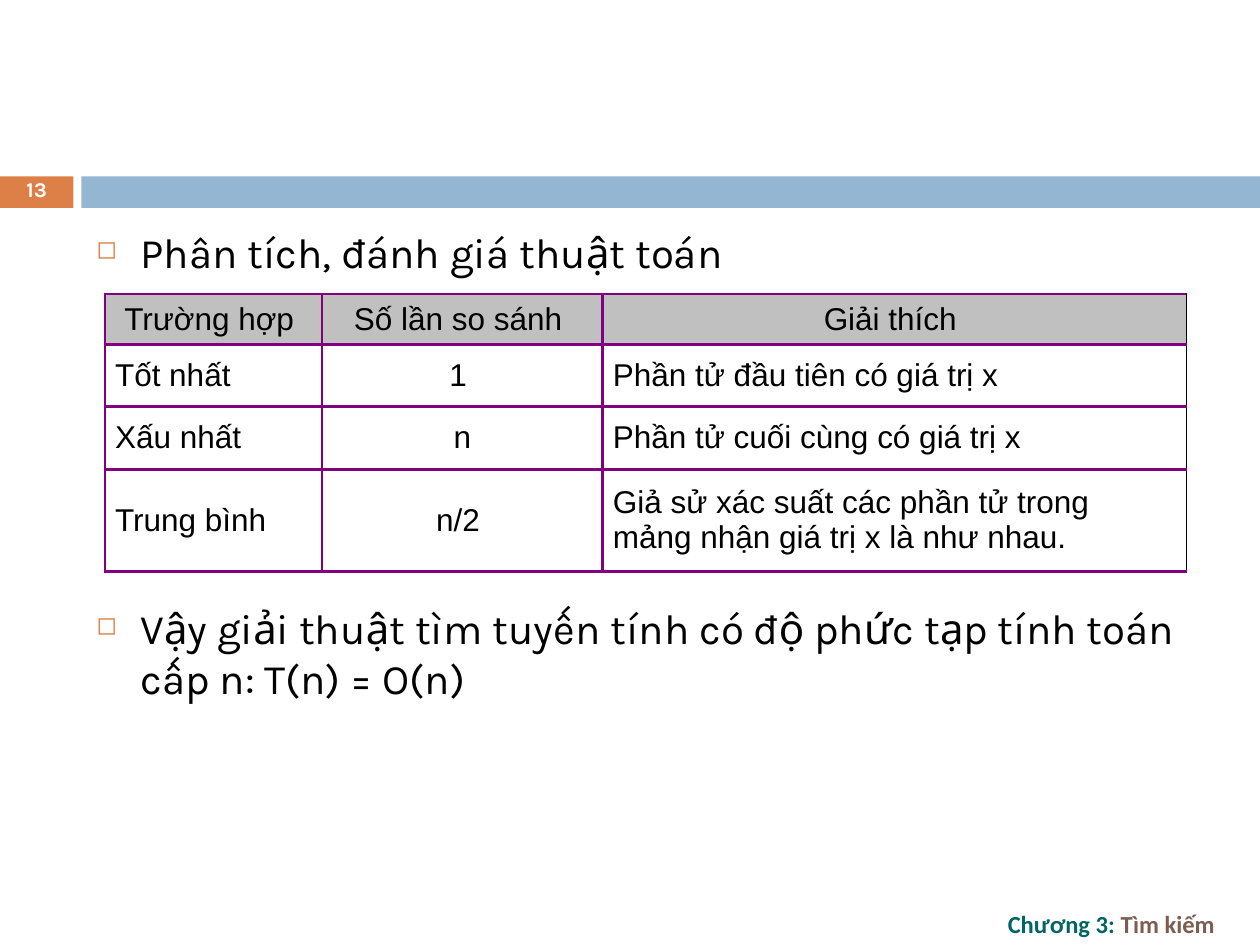
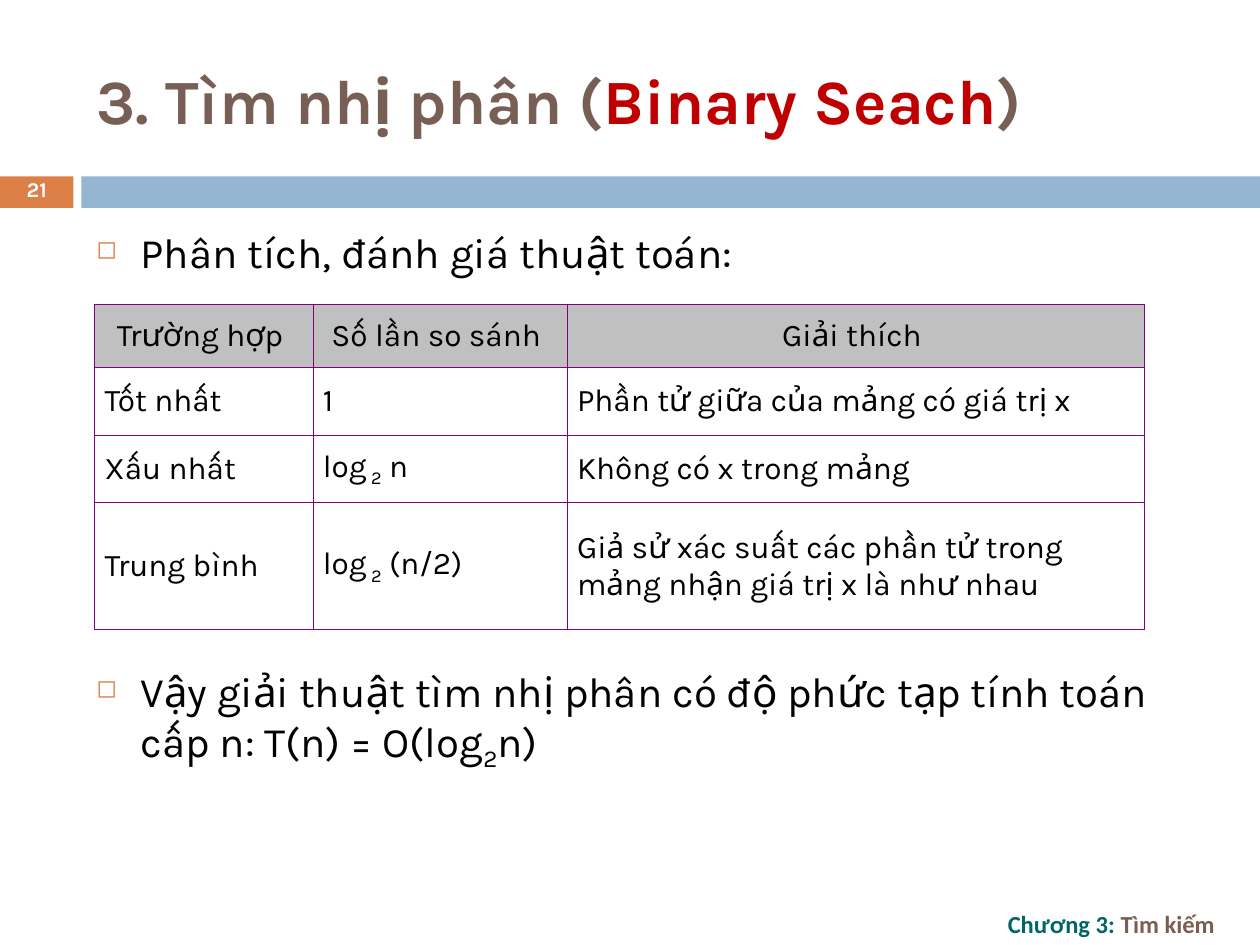
"""Builds two slides that compare the cost of linear and binary search."""
from lxml.etree import SubElement
from pptx import Presentation
from pptx.dml.color import RGBColor
from pptx.enum.shapes import MSO_SHAPE
from pptx.enum.text import MSO_ANCHOR, MSO_AUTO_SIZE, PP_ALIGN
from pptx.oxml.ns import qn
from pptx.util import Pt

HUES = {
    "orange": "DD8047", "blue": "94B6D2", "teal": "006565", "brown": "7C5D50",
    "title": "775F55", "red": "C00000", "purple": "800080", "grey": "C0C0C0",
    "black": "000000", "white": "FFFFFF",
}
HEAD = ["Trường hợp ", "Số lần so sánh ", "Giải thích "]
PAGES = [
    {
        "num": "13",
        "title": None,
        "points": ["Phân tích, đánh giá thuật toán",
                   "Vậy giải thuật tìm tuyến tính có độ phức tạp tính toán cấp n: T(n) = O(n)"],
        "gap": 185.7,
        "place": (60, 168),
        "cols": [124, 160.5, 333.5],
        "rows": [24.5, 35.3, 36, 58.3],
        "font": "Arial",
        "line": 1.87,
        "edge": ("black", 0.34),
        "mid": PP_ALIGN.CENTER,
        "cells": [["Tốt nhất", "1 ", "Phần tử đầu tiên có giá trị x"],
                  ["Xấu nhất", "n", "Phần tử cuối cùng có giá trị x"],
                  ["Trung bình", "n/2 ",
                   "Giả sử xác suất các phần tử trong mảng nhận giá trị x là như nhau."]],
    },
    {
        "num": "21",
        "title": "3. Tìm nhị phân (|Binary Seach|)",
        "points": ["Phân tích, đánh giá thuật toán:",
                   "Vậy giải thuật tìm nhị phân có độ phức tạp tính toán cấp n: T(n) = O(log|2|n)"],
        "gap": 221.7,
        "place": (54, 174),
        "cols": [124.8, 145.2, 330],
        "rows": [36, 38.6, 38.6, 72.7],
        "font": "Karla",
        "line": 0.34,
        "edge": ("purple", 0.34),
        "mid": PP_ALIGN.LEFT,
        "cells": [["Tốt nhất", "1", "Phần tử giữa của mảng có giá trị x"],
                  ["Xấu nhất", "log| 2| n", "Không có x trong mảng"],
                  ["Trung bình", "log| 2| (n/2)",
                   "Giả sử xác suất các phần tử trong mảng nhận giá trị x là như nhau"]],
    },
]


def write(par, text, face, size, hue, bold=False, accent=None):
    """Fills a paragraph; parts between bars are accented or set as subscript."""
    par.font.name = face
    par.font.size = Pt(size)
    par.font.bold = bold
    par.font.color.rgb = RGBColor.from_string(HUES[hue])
    for i, part in enumerate(text.split("|")):
        if not part:
            continue
        run = par.add_run()
        run.text = part
        if i % 2 and accent:
            run.font.color.rgb = RGBColor.from_string(HUES[accent])
        elif i % 2:
            run.font._element.set("baseline", "-25000")


def add_box(slide, left, top, width, height, anchor):
    """Adds a wrapping text box and returns its frame."""
    frame = slide.shapes.add_textbox(Pt(left), Pt(top), Pt(width), Pt(height)).text_frame
    frame.word_wrap = True
    frame.vertical_anchor = anchor
    return frame


deck = Presentation()
deck.slide_width, deck.slide_height = Pt(720), Pt(540)

for page in PAGES:
    slide = deck.slides.add_slide(deck.slide_layouts[5 if page["title"] else 6])

    for left, width, hue in [(0, 42, "orange"), (46.5, 673.5, "blue")]:
        band = slide.shapes.add_shape(MSO_SHAPE.RECTANGLE, Pt(left), Pt(100.8), Pt(width), Pt(18))
        band.shadow.inherit = False
        band.fill.solid()
        band.fill.fore_color.rgb = RGBColor.from_string(HUES[hue])
        band.line.fill.background()

    foot = add_box(slide, 568.8, 516.2, 151.2, 23.8, MSO_ANCHOR.MIDDLE)
    write(foot.paragraphs[0], "Chương 3: |Tìm kiếm", "Calibri", 14, "teal", True, "brown")

    if page["title"]:
        title = slide.shapes.title
        title.left, title.top, title.width, title.height = Pt(48), Pt(18), Pt(642), Pt(78)
        frame = title.text_frame
        frame.auto_size = MSO_AUTO_SIZE.NONE
        frame.vertical_anchor = MSO_ANCHOR.MIDDLE
        par = frame.paragraphs[0]
        par.alignment = PP_ALIGN.LEFT
        write(par, page["title"], "Karla", 36, "title", True, "red")

    body = add_box(slide, 48, 126, 642, 354, MSO_ANCHOR.TOP)
    for i, text in enumerate(page["points"]):
        par = body.add_paragraph() if i else body.paragraphs[0]
        if i:
            par.space_before = Pt(page["gap"])
        props = par._p.get_or_add_pPr()
        props.set("marL", str(Pt(25.2)))
        props.set("indent", str(-Pt(25.2)))
        SubElement(SubElement(props, qn("a:buClr")), qn("a:srgbClr"), val=HUES["orange"])
        SubElement(props, qn("a:buSzPct"), val="60000")
        SubElement(props, qn("a:buChar"), char="◻")
        write(par, text, "Karla", 24, "black")

    num = add_box(slide, 0, 100, 42, 19.4, MSO_ANCHOR.MIDDLE)
    par = num.paragraphs[0]
    par.alignment = PP_ALIGN.CENTER
    par.line_spacing = 0.7
    write(par, page["num"], "Karla", 12, "white", True)

    cols, rows = page["cols"], page["rows"]
    left, top = page["place"]
    table = slide.shapes.add_table(len(rows), len(cols), Pt(left), Pt(top),
                                   Pt(sum(cols)), Pt(sum(rows))).table
    table.first_row = table.horz_banding = False
    for col, width in zip(table.columns, cols):
        col.width = Pt(width)
    for row, height in zip(table.rows, rows):
        row.height = Pt(height)

    for r, texts in enumerate([HEAD] + page["cells"]):
        for c, text in enumerate(texts):
            cell = table.cell(r, c)
            cell.vertical_anchor = MSO_ANCHOR.MIDDLE
            cell.margin_left = cell.margin_right = Pt(5.76)
            cell.margin_top = cell.margin_bottom = Pt(3.6)
            props = cell._tc.get_or_add_tcPr()
            for side in ("lnL", "lnR", "lnT", "lnB"):
                last = side == "lnR" and c == len(cols) - 1
                hue, width = page["edge"] if last else ("purple", page["line"])
                line = SubElement(props, qn("a:" + side), w=str(Pt(width)))
                SubElement(SubElement(line, qn("a:solidFill")), qn("a:srgbClr"), val=HUES[hue])
            if r == 0:
                cell.fill.solid()
                cell.fill.fore_color.rgb = RGBColor.from_string(HUES["grey"])
            else:
                cell.fill.background()
            par = cell.text_frame.paragraphs[0]
            if r == 0:
                par.alignment = PP_ALIGN.CENTER
            elif c == 1:
                par.alignment = page["mid"]
            write(par, text, page["font"], 18, "black")

deck.save("out.pptx")
